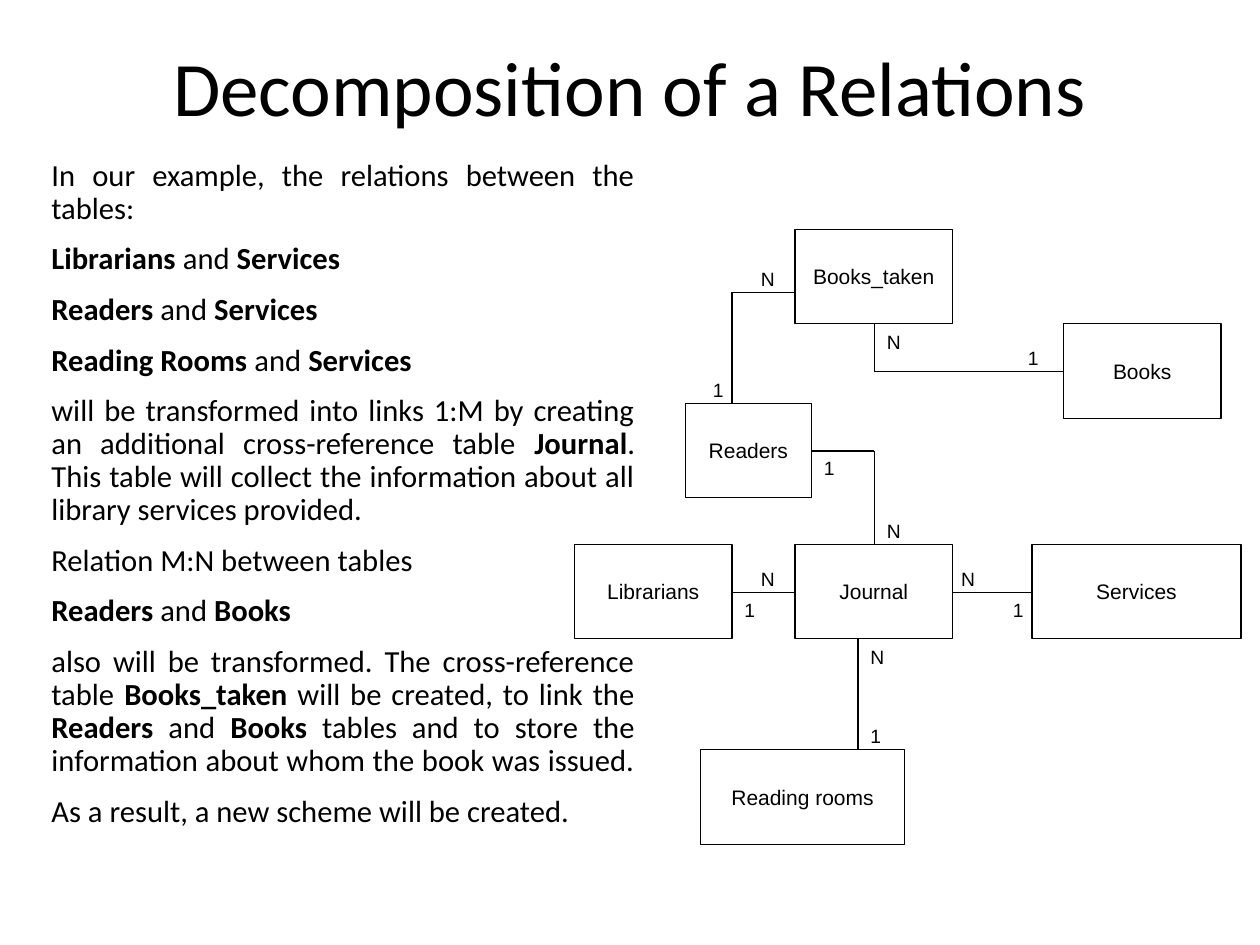
from itertools import pairwise

from lxml.etree import SubElement
from pptx import Presentation
from pptx.dml.color import RGBColor
from pptx.enum.shapes import MSO_CONNECTOR as Connector, MSO_SHAPE as Shape
from pptx.enum.text import MSO_ANCHOR as Anchor, PP_ALIGN as Align
from pptx.oxml.ns import qn
from pptx.util import Inches, Pt

BLACK = RGBColor(0, 0, 0)
WHITE = RGBColor(255, 255, 255)

# Content: each paragraph is a list of runs, ** marks bold runs
TITLE = "Decomposition of a Relations"
BODY = [
    ["In our example, the relations between the tables:"],
    ["**Librarians", " and ", "**Services"],
    ["**Readers", " and ", "**Services"],
    ["**Reading Rooms", " and ", "**Services"],
    ["will be transformed into links 1:M by creating an additional cross-reference table ",
     "**Journal",
     ". This table will collect the information about all library services provided."],
    ["Relation M:N between tables"],
    ["**Readers", " and ", "**Books"],
    ["also will be transformed. The cross-reference table ", "**Books_taken",
     " will be created, to link the ", "**Readers", " and ", "**Books",
     " tables and to store the information about whom the book was issued. "],
    ["As a result, a new scheme will be created."],
]

# Tables of the scheme: left, top, width
TABLE_HEIGHT = 0.75
TABLES = {
    "Books_taken": (6.31, 1.82, 1.25),
    "Books": (8.44, 2.57, 1.25),
    "Readers": (5.44, 3.2, 1),
    "Librarians": (4.56, 4.32, 1.25),
    "Journal": (6.31, 4.32, 1.25),
    "Services": (8.19, 4.32, 1.66),
    "Reading rooms": (5.56, 5.95, 1.62),
}

# Links between tables: corner points in order
LINKS = [
    [(6.31, 2.32), (5.81, 2.32), (5.81, 3.2)],    # Books_taken - Readers
    [(6.94, 2.57), (6.94, 2.95), (8.44, 2.95)],   # Books_taken - Books
    [(6.44, 3.58), (6.94, 3.58), (6.94, 4.32)],   # Readers - Journal
    [(5.81, 4.7), (6.31, 4.7)],                   # Librarians - Journal
    [(7.56, 4.7), (8.19, 4.7)],                   # Journal - Services
    [(6.81, 5.07), (6.81, 5.95)],                 # Journal - Reading rooms
]

# Cardinalities: left and top of each mark
CARDINALITIES = {
    "N": [(5.94, 2.07), (6.94, 2.57), (6.94, 4.07), (5.94, 4.45), (7.53, 4.45), (6.81, 5.07)],
    "1": [(5.56, 2.95), (8.06, 2.7), (6.44, 3.57), (5.81, 4.7), (7.94, 4.7), (6.81, 5.7)],
}


def add_run(paragraph, text, size, font="Arial"):
    run = paragraph.add_run()
    run.text = text.removeprefix("**")
    run.font.size = Pt(size)
    run.font.name = font
    run.font.bold = text.startswith("**")
    run.font.color.rgb = BLACK


def add_text_frame(slide, left, top, width, height):
    frame = slide.shapes.add_textbox(*map(Inches, (left, top, width, height))).text_frame
    frame.word_wrap = True
    return frame


def add_line(slide, start, end):
    line = slide.shapes.add_connector(Connector.STRAIGHT, *map(Inches, (*start, *end)))
    line.line.color.rgb = BLACK
    line.line.width = Pt(0.75)
    SubElement(line._element.spPr, qn("a:effectLst"))


def add_table_box(slide, name, left, top, width):
    box = slide.shapes.add_shape(
        Shape.RECTANGLE, *map(Inches, (left, top, width, TABLE_HEIGHT)))
    box.shadow.inherit = False
    box.fill.solid()
    box.fill.fore_color.rgb = WHITE
    box.line.color.rgb = BLACK
    box.line.width = Pt(0.75)
    box.text_frame.vertical_anchor = Anchor.MIDDLE
    paragraph = box.text_frame.paragraphs[0]
    paragraph.alignment = Align.CENTER
    add_run(paragraph, name, 12)


def main():
    prs = Presentation()
    prs.slide_width, prs.slide_height = Inches(10), Inches(7.5)
    slide = prs.slides.add_slide(prs.slide_layouts[6])

    # Title
    title = add_text_frame(slide, 0, 0, 10, 1.45)
    title.vertical_anchor = Anchor.MIDDLE
    heading = title.paragraphs[0]
    heading.alignment = Align.CENTER
    heading.line_spacing = 0.9
    add_run(heading, TITLE, 44, "Calibri")

    # Explanation on the left
    body = add_text_frame(slide, 0.31, 1.22, 4.83, 6.08)
    for index, runs in enumerate(BODY):
        paragraph = body.add_paragraph() if index else body.paragraphs[0]
        paragraph.alignment = Align.JUSTIFY
        paragraph.line_spacing = 0.9
        paragraph.space_before = Pt(10 if index else 0)
        for text in runs:
            add_run(paragraph, text, 17.5, "Calibri")

    # Scheme: tables, links, cardinalities
    for name, place in TABLES.items():
        add_table_box(slide, name, *place)
    for points in LINKS:
        for start, end in pairwise(points):
            add_line(slide, start, end)
    for mark, places in CARDINALITIES.items():
        for left, top in places:
            label = add_text_frame(slide, left, top, 0.38, 0.25)
            add_run(label.paragraphs[0], mark, 11)

    prs.save("out.pptx")


if __name__ == "__main__":
    main()
